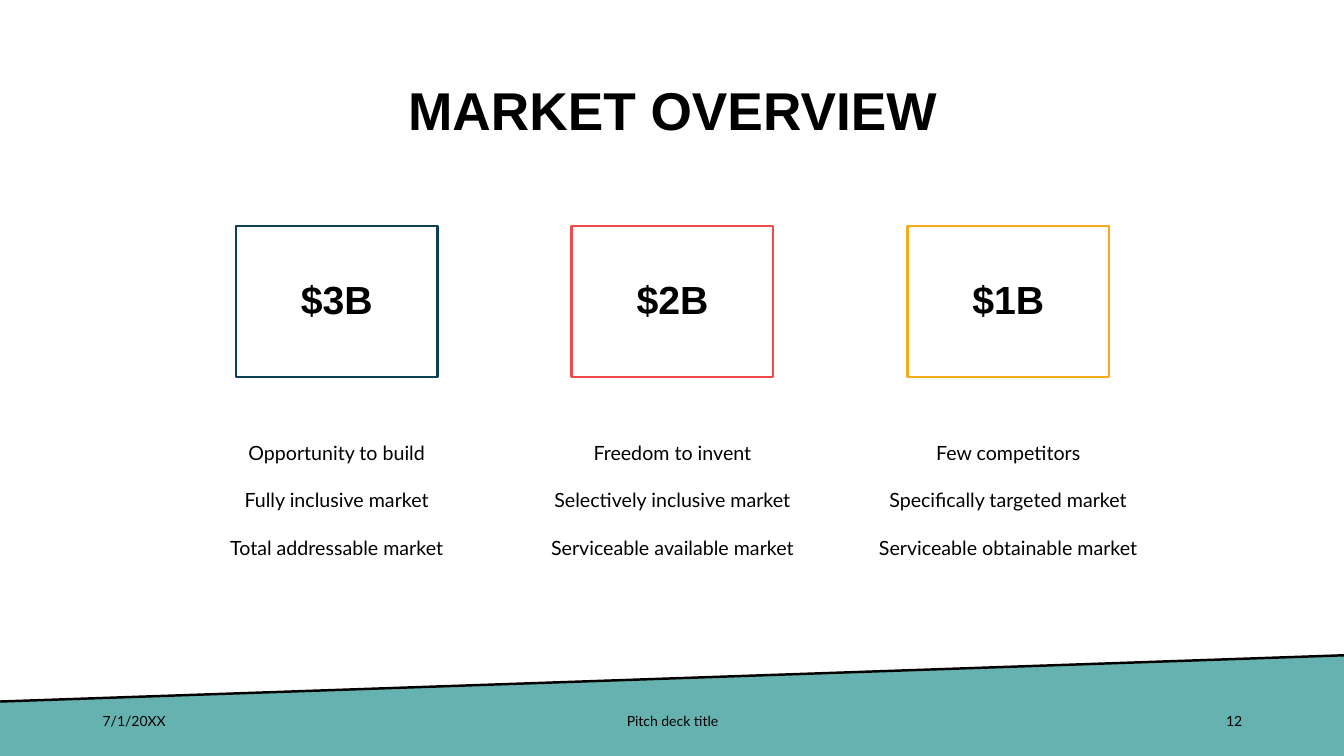
from pptx import Presentation
from pptx.dml.color import RGBColor
from pptx.enum.shapes import MSO_CONNECTOR, MSO_SHAPE
from pptx.enum.text import MSO_ANCHOR, PP_ALIGN
from pptx.oxml.ns import qn
from pptx.util import Inches, Pt
from lxml.etree import SubElement

BLACK = RGBColor(0x00, 0x00, 0x00)
TEAL = RGBColor(0x66, 0xB2, 0xB0)
NAVY = RGBColor(0x0A, 0x40, 0x54)
CORAL = RGBColor(0xF2, 0x49, 0x4C)
AMBER = RGBColor(0xF9, 0xAA, 0x19)

MARKETS = [
    ("$3B", NAVY, ["Opportunity to build", "Fully inclusive market",
                   "Total addressable market"]),
    ("$2B", CORAL, ["Freedom to invent", "Selectively inclusive market",
                    "Serviceable\u00a0available market"]),
    ("$1B", AMBER, ["Few competitors", "Specifically targeted market",
                    "Serviceable obtainable market"]),
]
COLUMN_LEFT, COLUMN_TOP, COLUMN_WIDTH, COLUMN_PITCH = 1.84, 2.24, 3, 3.33


def format_paragraph(paragraph, font_name, size, alignment, bold=False, spacing=None):
    """Apply alignment, line spacing and font to one paragraph."""
    paragraph.alignment = alignment
    paragraph.line_spacing = spacing
    for run in paragraph.runs:
        run.font.name = font_name
        run.font.size = Pt(size)
        run.font.bold = bold
        run.font.color.rgb = BLACK


def add_text(slide, left, top, width, height):
    """Add an empty wrapping text box and return its text frame."""
    box = slide.shapes.add_textbox(Inches(left), Inches(top), Inches(width), Inches(height))
    box.text_frame.word_wrap = True
    return box.text_frame


def add_band(slide, left, top, width, height):
    """Draw the slanted teal band with a black line along its upper edge."""
    right, bottom, low_edge = left + width, top + height, top + 0.46
    builder = slide.shapes.build_freeform(Inches(left), Inches(low_edge))
    corners = [(right, top), (right, bottom), (left, bottom)]
    builder.add_line_segments([(Inches(x), Inches(y)) for x, y in corners])
    band = builder.convert_to_shape()
    band.shadow.inherit = False
    band.fill.solid()
    band.fill.fore_color.rgb = TEAL
    band.line.fill.background()

    edge = slide.shapes.add_connector(
        MSO_CONNECTOR.STRAIGHT, Inches(right), Inches(top), Inches(left), Inches(low_edge))
    edge.line.color.rgb = BLACK
    edge.line.width = Pt(1.75)
    SubElement(edge._element.spPr, qn("a:effectLst"))


def add_title(slide, text, left, top, width, height):
    """Place the title placeholder in its box and format it."""
    title = slide.shapes.title
    title.left, title.top = Inches(left), Inches(top)
    title.width, title.height = Inches(width), Inches(height)
    title.text_frame.text = text
    title.text_frame.vertical_anchor = MSO_ANCHOR.MIDDLE
    format_paragraph(title.text_frame.paragraphs[0], "Arial", 38, PP_ALIGN.CENTER, True, 0.9)


def add_market(slide, value, color, points, left, top, width):
    """Add one market column: a framed value above three centred lines."""
    frame = slide.shapes.add_shape(
        MSO_SHAPE.RECTANGLE, Inches(left + (width - 2) / 2), Inches(top), Inches(2), Inches(1.5))
    frame.shadow.inherit = False
    frame.fill.background()
    frame.line.color.rgb = color
    frame.line.width = Pt(1.75)
    frame.text_frame.text = value
    frame.text_frame.vertical_anchor = MSO_ANCHOR.MIDDLE
    format_paragraph(frame.text_frame.paragraphs[0], "Arial", 28, PP_ALIGN.CENTER, True, 0.9)

    text_frame = add_text(slide, left, top + 1.98, width, 1.75)
    text_frame.text = "\n".join(points)
    for index, paragraph in enumerate(text_frame.paragraphs):
        format_paragraph(paragraph, "Lato", 14, PP_ALIGN.CENTER, spacing=Pt(24))
        paragraph.space_before = Pt(10 if index else 0)


def add_footer(slide, left, top, width, height):
    """Add the date, deck title and slide number across the footer."""
    parts = [
        ("7/1/20XX", left, 3, PP_ALIGN.LEFT),
        ("Pitch deck title", left + (width - 4.5) / 2, 4.5, PP_ALIGN.CENTER),
        ("12", left + width - 3, 3, PP_ALIGN.RIGHT),
    ]
    for text, part_left, part_width, alignment in parts:
        text_frame = add_text(slide, part_left, top, part_width, height)
        text_frame.text = text
        text_frame.vertical_anchor = MSO_ANCHOR.MIDDLE
        format_paragraph(text_frame.paragraphs[0], "Lato", 10, alignment)


def main():
    """Build the market overview slide and save it."""
    presentation = Presentation()
    presentation.slide_width = Inches(13.33)
    presentation.slide_height = Inches(7.5)
    slide = presentation.slides.add_slide(presentation.slide_layouts.get_by_name("Title Only"))
    add_band(slide, -0.01, 6.5, 13.36, 1.03)
    add_title(slide, "MARKET OVERVIEW", 0.92, 0.4, 11.5, 1.45)
    for index, (value, color, points) in enumerate(MARKETS):
        left = COLUMN_LEFT + index * COLUMN_PITCH
        add_market(slide, value, color, points, left, COLUMN_TOP, COLUMN_WIDTH)
    add_footer(slide, 0.92, 6.95, 11.5, 0.4)
    presentation.save("out.pptx")


if __name__ == "__main__":
    main()
